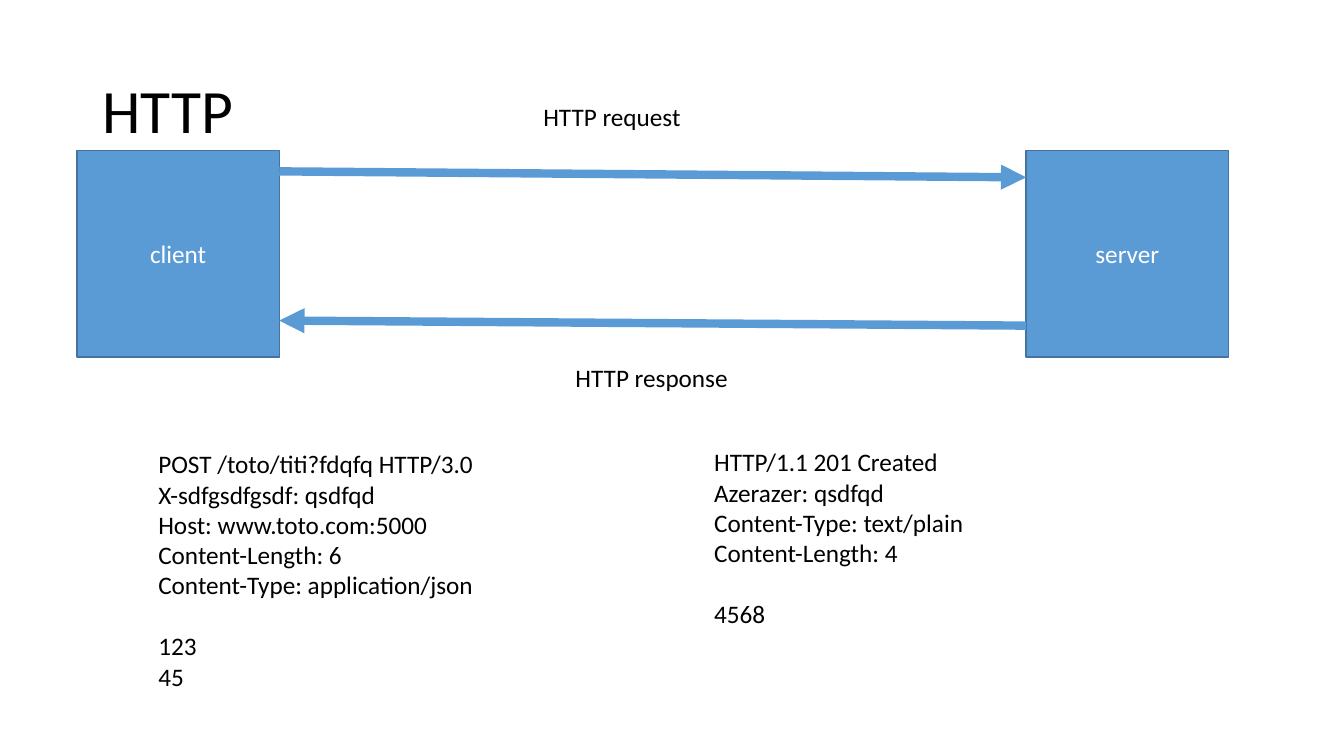
"""Build a slide that shows an HTTP request and its response."""
from lxml.etree import SubElement as Sub
from pptx import Presentation
from pptx.dml.color import RGBColor
from pptx.enum.shapes import MSO_CONNECTOR as Link, MSO_SHAPE as Shape
from pptx.enum.text import MSO_ANCHOR as Anchor, MSO_AUTO_SIZE as Fit, PP_ALIGN as Align
from pptx.oxml.ns import qn
from pptx.util import Pt

BLUE = RGBColor(0x5B, 0x9B, 0xD5)
EDGE = RGBColor(0x43, 0x73, 0x9E)
BLACK = RGBColor(0, 0, 0)
WHITE = RGBColor(255, 255, 255)
FONT = "Calibri"
SIZE = 18
GAP = 22

LEFT, RIGHT = 55, 733
TOP, WIDE, HIGH = 107.5, 144.5, 147.5

POST = [
    "POST /toto/titi?fdqfq HTTP/3.0",
    "X-sdfgsdfgsdf: qsdfqd",
    "Host: www.toto.com:5000",
    "Content-Length: 6",
    "Content-Type: application/json",
]
REPLY = [
    "HTTP/1.1 201 Created",
    "Azerazer: qsdfqd",
    "Content-Type: text/plain",
    "Content-Length: 4",
]


def style(frame, color, size=SIZE):
    for para in frame.paragraphs:
        for run in para.runs:
            run.font.name = FONT
            run.font.size = Pt(size)
            run.font.color.rgb = color


def add_title(slide, text):
    box = slide.shapes.add_textbox(Pt(66), Pt(29), Pt(828), Pt(104.5))
    frame = box.text_frame
    frame.word_wrap = True
    frame.vertical_anchor = Anchor.MIDDLE
    frame.text = text
    frame.paragraphs[0].line_spacing = 0.9
    style(frame, BLACK, 44)


def add_node(slide, text, left):
    node = slide.shapes.add_shape(Shape.RECTANGLE, Pt(left), Pt(TOP), Pt(WIDE), Pt(HIGH))
    node.shadow.inherit = False
    node.fill.solid()
    node.fill.fore_color.rgb = BLUE
    node.line.color.rgb = EDGE
    node.line.width = Pt(1)
    frame = node.text_frame
    frame.text = text
    frame.vertical_anchor = Anchor.MIDDLE
    frame.paragraphs[0].alignment = Align.CENTER
    style(frame, WHITE)


def add_arrow(slide, start, end):
    ends = [Pt(n) for n in (*start, *end)]
    arrow = slide.shapes.add_connector(Link.STRAIGHT, *ends)
    arrow.line.color.rgb = BLUE
    arrow.line.width = Pt(6)
    Sub(arrow.line._get_or_add_ln(), qn("a:tailEnd"), type="triangle")
    Sub(arrow._element.spPr, qn("a:effectLst"))


def add_text(slide, lines, left, top, wide, high):
    box = slide.shapes.add_textbox(Pt(left), Pt(top), Pt(wide), Pt(high))
    frame = box.text_frame
    frame.word_wrap = False
    frame.auto_size = Fit.SHAPE_TO_FIT_TEXT
    frame.text = "\n".join(lines)
    style(frame, BLACK)
    return frame


def add_message(slide, head, body, left, top, wide, high):
    frame = add_text(slide, head + body, left, top, wide, high)
    frame.paragraphs[len(head)].space_before = Pt(GAP)


def main():
    deck = Presentation()
    deck.slide_width, deck.slide_height = Pt(960), Pt(540)
    slide = deck.slides.add_slide(deck.slide_layouts[6])
    add_title(slide, "HTTP")
    add_node(slide, "client", LEFT)
    add_node(slide, "server", RIGHT)
    inner = LEFT + WIDE
    add_arrow(slide, (inner, 122.4), (RIGHT, 126.7))
    add_text(slide, ["HTTP request"], 381, 68.5, 114, 29)
    add_arrow(slide, (RIGHT, 232.6), (inner, 229))
    add_text(slide, ["HTTP response"], 404, 255, 124.5, 29)
    add_message(slide, POST, ["123", "45"], 106, 317, 242, 181.5)
    add_message(slide, REPLY, ["4568"], 503, 315.5, 195, 138)
    deck.save("out.pptx")


main()
